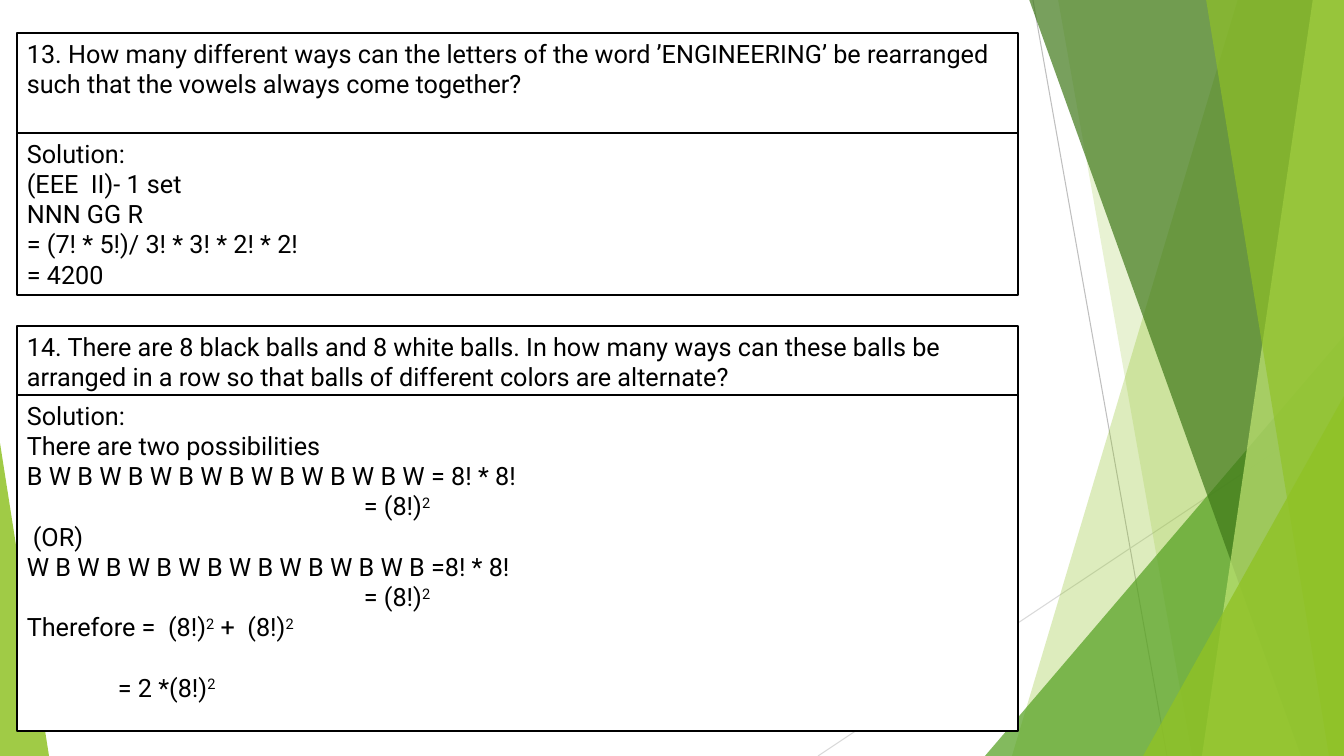
from lxml import etree
from pptx import Presentation
from pptx.dml.color import RGBColor
from pptx.enum.shapes import MSO_CONNECTOR, MSO_SHAPE
from pptx.enum.text import MSO_ANCHOR, PP_ALIGN
from pptx.oxml.ns import qn
from pptx.util import Emu, Pt

STRAIGHT = MSO_CONNECTOR.STRAIGHT
RECT = MSO_SHAPE.RECTANGLE
TRIANGLE = MSO_SHAPE.ISOSCELES_TRIANGLE
TOP = MSO_ANCHOR.TOP
LEFT = PP_ALIGN.LEFT

PX = 914400 / 100.8
WIDTH, HEIGHT = 1344, 756
BLACK, WHITE, GREEN = "000000", "FFFFFF", "90C226"

FACETS = [
    ("band", 253, 27, GREEN, 30),
    ("band", 73, 207, GREEN, 20),
    ("corner", 0, 336, "54A021", 72),
    ("band", 44, 316, "3F7819", 70),
    ("band", 328, 217, "C0E474", 70),
    ("band", 221, 344, GREEN, 65),
    ("corner", 158, 396, GREEN, 80),
]

QUESTION_13 = [
    ("13. How many different ways can the letters of the word ’ENGINEERING’ "
     "be rearranged such that the vowels always come together?", {}),
]
SOLUTION_13 = [
    ("Solution:", {}),
    ("(EEE  II)- 1 set", {}),
    ("NNN GG R", {}),
    ("= (7! * 5!)/ 3! * 3! * 2! * 2!", {}),
    ("= 4200", {}),
]
QUESTION_14 = [
    ("14. There are 8 black balls and 8 white balls. In how many ways can these "
     "balls be arranged in a row so that balls of different colors are alternate?", {}),
]
SOLUTION_14 = [
    ("Solution:", {}),
    ("There are two possibilities", {}),
    ("B W B W B W B W B W B W B W B W = 8! * 8!", {}),
    ("= (8!)^2", {"indent": 337}),
    ("(OR)", {"indent": 6}),
    ("W B W B W B W B W B W B W B W B =8! * 8!", {}),
    ("= (8!)^2", {"indent": 337}),
    ("Therefore =  (8!)^2^ +  (8!)^2", {}),
    ("= 2 *(8!)^2", {"indent": 91, "before": 30}),
]


def px(n):
    return Emu(round(n * PX))


def color(value):
    return RGBColor.from_string(value)


def paint(sp, fill, alpha=100, line=None):
    sp.shadow.inherit = False
    sp.fill.solid()
    sp.fill.fore_color.rgb = color(fill)
    if alpha < 100:
        clr = sp._element.spPr.find(qn("a:solidFill"))[0]
        etree.SubElement(clr, qn("a:alpha"), val=str(alpha * 1000))
    if line:
        sp.line.color.rgb = color(line)
        sp.line.width = Pt(1.5)
    else:
        sp.line.fill.background()


def add_line(s, x1, y1, x2, y2, line):
    c = s.shapes.add_connector(STRAIGHT, px(x1), px(y1), px(x2), px(y2))
    c.line.color.rgb = color(line)
    c.line.width = Pt(0.75)
    etree.SubElement(c._element.spPr, qn("a:effectLst"))


def add_triangle(s, x, y, w, h, apex, fill, alpha):
    sp = s.shapes.add_shape(TRIANGLE, px(x), px(y), px(w), px(h))
    sp.adjustments[0] = apex
    paint(sp, fill, alpha)


def add_band(s, top_x, bottom_x, right, top, bottom, fill, alpha):
    builder = s.shapes.build_freeform(top_x, top, scale=PX)
    builder.add_line_segments([(right, top), (right, bottom), (bottom_x, bottom)])
    paint(builder.convert_to_shape(), fill, alpha)


def add_text(p, text, size=18, font="Roboto", fill=BLACK, indent=0, before=0):
    p.alignment = LEFT
    if indent:
        p._p.get_or_add_pPr().set("marL", str(px(indent)))
        p._p.get_or_add_pPr().set("indent", "0")
    if before:
        p.space_before = px(before)
    for i, part in enumerate(text.split("^")):
        r = p.add_run()
        r.text = part
        r.font.size = Pt(size)
        r.font.name = font
        r.font.color.rgb = color(fill)
        if i % 2:
            r._r.get_or_add_rPr().set("baseline", "30000")


def draw_facets(s, x, y, w, h):
    add_line(s, x + 48, y, x + 182, y + h, "BFBFBF")
    add_line(s, x + w, y + 406, x - 167, y + h, "D9D9D9")
    for kind, a, b, fill, alpha in FACETS:
        if kind == "band":
            add_band(s, x + a, x + b, x + w, y - 1, y + h, fill, alpha)
        else:
            add_triangle(s, x + a, y + b, w - a, h - b, 1, fill, alpha)


def draw_panel(s, x, y, w, h, lines):
    sp = s.shapes.add_shape(RECT, px(x), px(y), px(w), px(h))
    paint(sp, WHITE, line=BLACK)
    tf = sp.text_frame
    tf.word_wrap = True
    tf.vertical_anchor = TOP
    for i, (text, fmt) in enumerate(lines):
        p = tf.add_paragraph() if i else tf.paragraphs[0]
        add_text(p, text, **fmt)


def draw_problem(s, x, y, w, h, split, question, solution):
    draw_panel(s, x, y, w, 132, question)
    draw_panel(s, x, y + split, w, h - split, solution)


def main():
    prs = Presentation()
    prs.slide_width, prs.slide_height = px(WIDTH), px(HEIGHT)
    s = prs.slides.add_slide(prs.slide_layouts[6])
    draw_facets(s, 985, 0, 359, HEIGHT)
    add_triangle(s, 0, 443, 49, 313, 0, GREEN, 85)
    draw_problem(s, 17, 33, 1001, 262, 100, QUESTION_13, SOLUTION_13)
    draw_problem(s, 17, 326, 1001, 405, 69, QUESTION_14, SOLUTION_14)
    prs.save("out.pptx")


if __name__ == "__main__":
    main()
